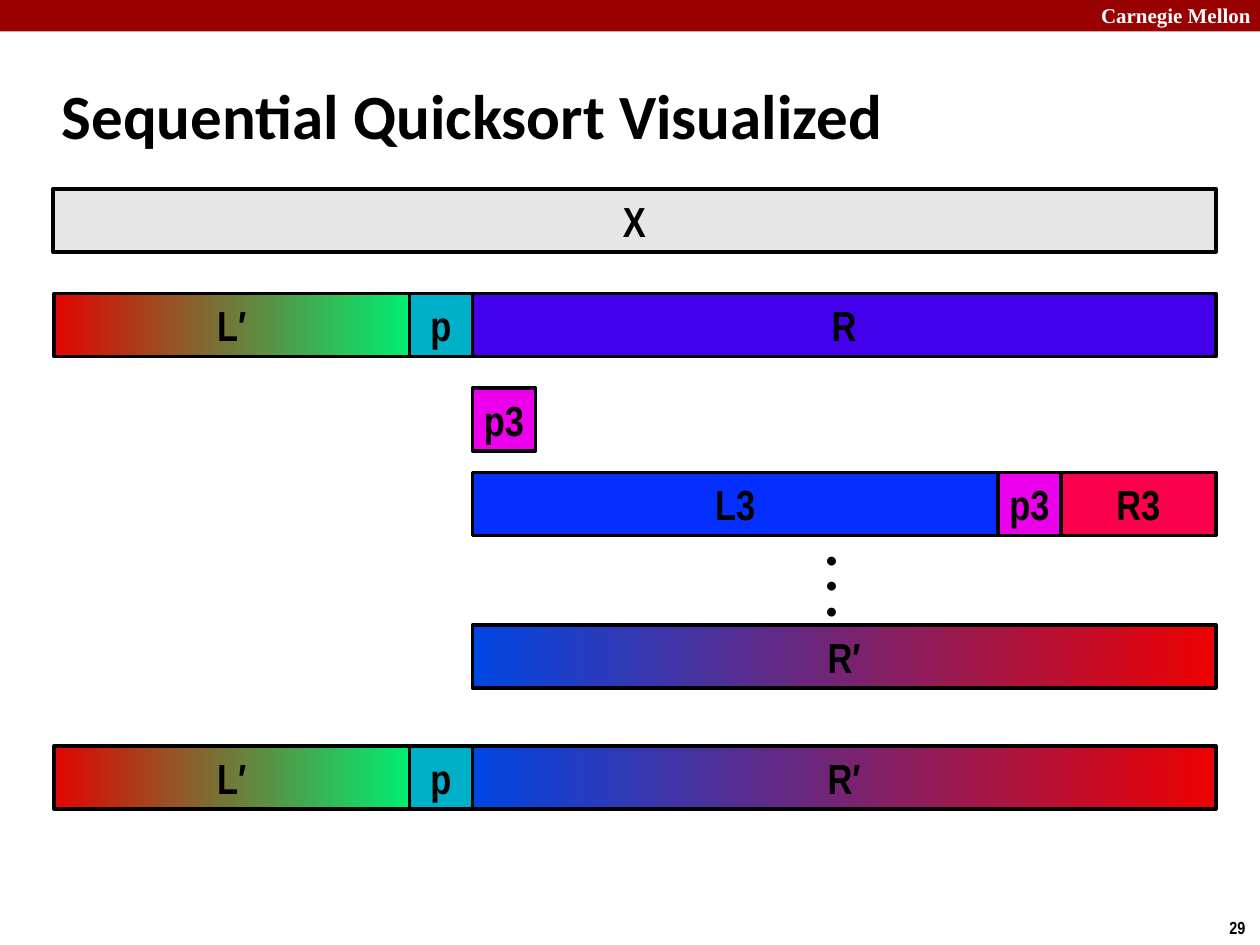
from dataclasses import dataclass

from pptx import Presentation
from pptx.dml.color import RGBColor
from pptx.enum.shapes import MSO_SHAPE as Shape
from pptx.enum.text import MSO_ANCHOR as Anchor, MSO_AUTO_SIZE as AutoSize, PP_ALIGN as Align
from pptx.util import Inches, Pt


@dataclass(frozen=True)
class Theme:
    black: str = "000000"
    white: str = "FFFFFF"
    banner: str = "990000"
    whole: tuple = ("E6E6E6",)
    pivot: tuple = ("00B0C8",)
    right: tuple = ("4300EA",)
    pivot_three: tuple = ("EA00EA",)
    left_three: tuple = ("052FFF",)
    right_three: tuple = ("FA004D",)
    left_sorted: tuple = ("E10601", "00EE71")
    right_sorted: tuple = ("0046E2", "ED0101")
    title_font: str = "Calibri"
    label_font: str = "Arial Narrow"
    banner_font: str = "Times New Roman"
    title_size: int = 36
    label_size: int = 24
    small_size: int = 12
    number_size: int = 10
    line_width: int = 2


@dataclass(frozen=True)
class Segment:
    label: str
    width: float
    colors: tuple


@dataclass(frozen=True)
class Row:
    left: float
    top: float
    segments: tuple


THEME = Theme()
BAR_HEIGHT = 0.5
BAR_LEFT = 0.43
PIVOT_RIGHT = 3.75

PIVOT = Segment("p", 0.5, THEME.pivot)
PIVOT_THREE = Segment("p3", 0.5, THEME.pivot_three)
LEFT_SORTED = Segment("L′", 2.82, THEME.left_sorted)
RIGHT_SORTED = Segment("R′", 5.9, THEME.right_sorted)

ROWS = (
    Row(0.42, 1.5, (Segment("X", 9.23, THEME.whole),)),
    Row(BAR_LEFT, 2.33, (LEFT_SORTED, PIVOT, Segment("R", 5.9, THEME.right))),
    Row(PIVOT_RIGHT, 3.08, (PIVOT_THREE,)),
    Row(PIVOT_RIGHT, 3.75, (
        Segment("L3", 4.17, THEME.left_three),
        PIVOT_THREE,
        Segment("R3", 1.23, THEME.right_three),
    )),
    Row(PIVOT_RIGHT, 4.96, (RIGHT_SORTED,)),
    Row(BAR_LEFT, 5.92, (LEFT_SORTED, PIVOT, RIGHT_SORTED)),
)


def add_span(para, text: str, font: str, size: int, color: str = THEME.black) -> None:
    span = para.add_run()
    span.text = text
    span.font.name = font
    span.font.size = Pt(size)
    span.font.bold = True
    span.font.color.rgb = RGBColor.from_string(color)


def add_block(page, left: float, top: float, width: float, height: float, colors: tuple):
    box = page.shapes.add_shape(
        Shape.RECTANGLE, Inches(left), Inches(top), Inches(width), Inches(height))
    box.shadow.inherit = False
    if len(colors) == 1:
        box.fill.solid()
        box.fill.fore_color.rgb = RGBColor.from_string(colors[0])
    else:
        box.fill.gradient()
        box.fill.gradient_angle = 0
        for stop, color in zip(box.fill.gradient_stops, colors):
            stop.color.rgb = RGBColor.from_string(color)
    return box


def add_row(page, row: Row) -> None:
    left = row.left
    for segment in row.segments:
        box = add_block(page, left, row.top, segment.width, BAR_HEIGHT, segment.colors)
        box.line.color.rgb = RGBColor.from_string(THEME.black)
        box.line.width = Pt(THEME.line_width)
        box.text_frame.word_wrap = False
        box.text_frame.vertical_anchor = Anchor.MIDDLE
        para = box.text_frame.paragraphs[0]
        para.alignment = Align.CENTER
        add_span(para, segment.label, THEME.label_font, THEME.label_size)
        left += segment.width


def add_text(page, left: float, top: float, width: float, height: float,
             lines: tuple, font: str, size: int, color: str = THEME.black) -> None:
    box = page.shapes.add_textbox(Inches(left), Inches(top), Inches(width), Inches(height))
    frame = box.text_frame
    frame.word_wrap = False
    frame.auto_size = AutoSize.SHAPE_TO_FIT_TEXT
    for index, line in enumerate(lines):
        para = frame.add_paragraph() if index else frame.paragraphs[0]
        add_span(para, line, font, size, color)


def add_title(page, text: str) -> None:
    title = page.shapes.title
    title.left, title.top = Inches(0.39), Inches(0.49)
    title.width, title.height = Inches(8.3), Inches(0.83)
    title.text_frame.auto_size = AutoSize.NONE
    title.text_frame.vertical_anchor = Anchor.MIDDLE
    para = title.text_frame.paragraphs[0]
    para.alignment = Align.LEFT
    add_span(para, text, THEME.title_font, THEME.title_size)


def main() -> None:
    deck = Presentation()
    deck.slide_width, deck.slide_height = Inches(10), Inches(7.5)
    page = deck.slides.add_slide(deck.slide_layouts[5])

    banner = add_block(page, 0, 0, 10, 0.25, (THEME.banner,))
    banner.line.fill.background()
    add_text(page, 8.64, -0.03, 1.43, 0.3, ("Carnegie Mellon",),
             THEME.banner_font, THEME.small_size, THEME.white)
    add_text(page, 9.66, 7.23, 0.34, 0.27, ("29",), THEME.label_font, THEME.number_size)
    add_title(page, "Sequential Quicksort Visualized")

    for row in ROWS:
        add_row(page, row)
    add_text(page, 6.46, 4.29, 0.28, 0.71, ("•",) * 3, THEME.title_font, THEME.small_size)

    deck.save("out.pptx")


if __name__ == "__main__":
    main()
